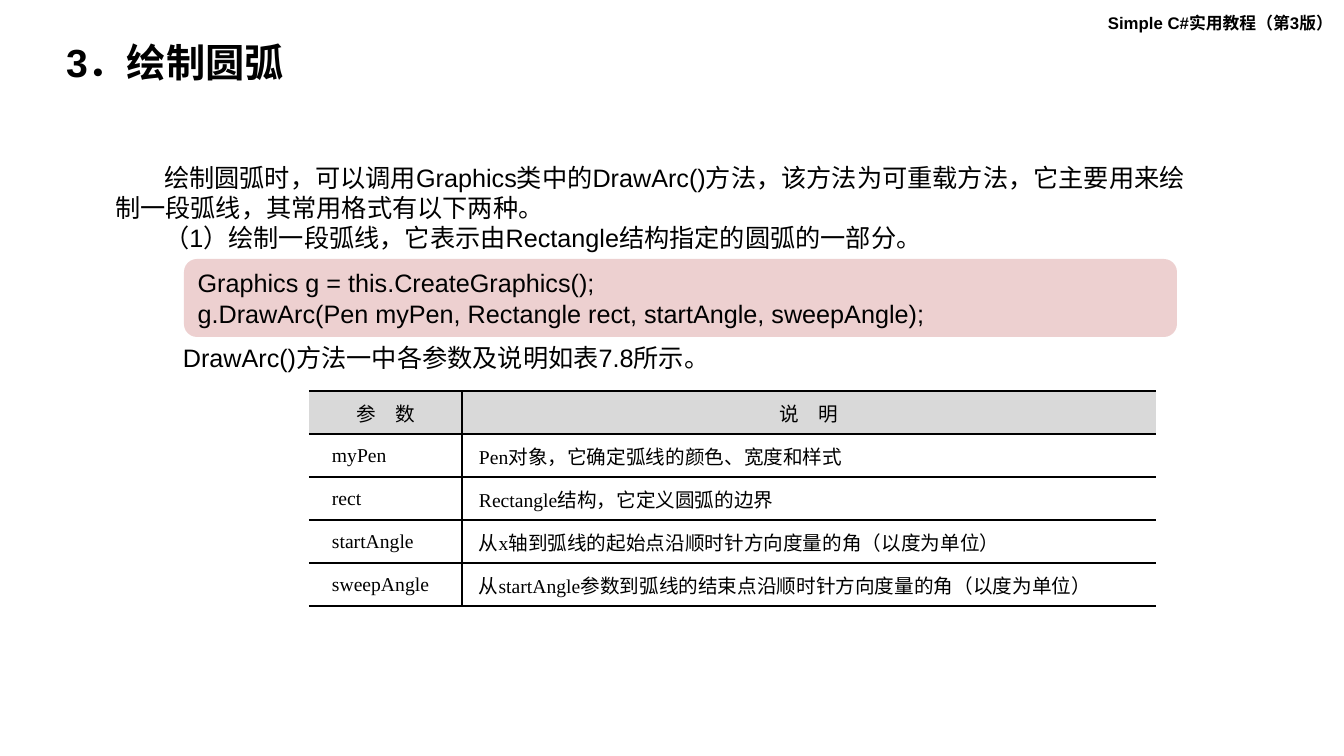
from pptx import Presentation
from pptx.dml.color import RGBColor
from pptx.enum.shapes import MSO_SHAPE
from pptx.enum.text import MSO_ANCHOR as Anchor, MSO_AUTO_SIZE as AutoSize, PP_ALIGN as Align
from pptx.oxml.ns import qn
from pptx.util import Emu, Pt
from lxml.etree import SubElement

BLACK = "000000"
HEADER_FILL = "D9D9D9"
CODE_FILL = "EDD0D0"
ROW_HEIGHT = 43
COLUMN_WIDTHS = (153, 694)
FIRST_INDENTS = (16, 10)
PARAMETERS = (
    ("参　数", "说　明"),
    ("myPen", "Pen对象，它确定弧线的颜色、宽度和样式"),
    ("rect", "Rectangle结构，它定义圆弧的边界"),
    ("startAngle", "从x轴到弧线的起始点沿顺时针方向度量的角（以度为单位）"),
    ("sweepAngle", "从startAngle参数到弧线的结束点沿顺时针方向度量的角（以度为单位）"),
)


def px(length):
    """Turn pixels into EMU."""
    return Emu(round(length * 914400 / 100.8))


def color(code):
    """Turn a hex string into a colour."""
    return RGBColor.from_string(code)


def place(shape, left, top, width, height):
    """Move and size a shape in pixels."""
    shape.left, shape.top = px(left), px(top)
    shape.width, shape.height = px(width), px(height)


def write(frame, text, size, name="Arial", bold=False, align=Align.LEFT, indent=0, spacing=1.0):
    """Fill a text frame with evenly formatted paragraphs."""
    frame.text = text
    for para in frame.paragraphs:
        properties = para._p.get_or_add_pPr()
        properties.set("marL", "0")
        properties.set("indent", str(px(indent)))
        SubElement(properties, qn("a:buNone"))
        para.alignment = align
        para.line_spacing = spacing
        para.space_before = Pt(0)
        for span in para.runs:
            span.font.size = Pt(size)
            span.font.name = name
            span.font.bold = bold
            span.font.color.rgb = color(BLACK)


def fill_placeholder(shape, bounds, text, size, anchor, **style):
    """Place and write a title or body placeholder."""
    place(shape, *bounds)
    frame = shape.text_frame
    write(frame, text, size, **style)
    frame.auto_size = AutoSize.NONE
    frame.vertical_anchor = anchor


def add_label(page, bounds, text, size, wrap=True, bold=False):
    """Add a text box."""
    box = page.shapes.add_textbox(*map(px, bounds))
    box.text_frame.word_wrap = wrap
    write(box.text_frame, text, size, bold=bold)


def add_code_panel(page, bounds, text):
    """Add a rounded panel holding code."""
    panel = page.shapes.add_shape(MSO_SHAPE.ROUNDED_RECTANGLE, *map(px, bounds))
    panel.shadow.inherit = False
    panel.fill.solid()
    panel.fill.fore_color.rgb = color(CODE_FILL)
    panel.line.fill.background()
    panel.text_frame.word_wrap = True
    panel.text_frame.vertical_anchor = Anchor.MIDDLE
    write(panel.text_frame, text, 18)


def add_border(cell, side, visible):
    """Draw or hide one side of a cell."""
    line = SubElement(cell._tc.get_or_add_tcPr(), qn(f"a:ln{side}"), w=str(Pt(1)))
    if visible:
        SubElement(SubElement(line, qn("a:solidFill")), qn("a:srgbClr"), val=BLACK)
    else:
        SubElement(line, qn("a:noFill"))


def format_cell(cell, text, is_header, column):
    """Write, border and fill one table cell."""
    cell.vertical_anchor = Anchor.MIDDLE
    cell.margin_left = cell.margin_right = px(7)
    cell.margin_top = cell.margin_bottom = 0
    write(cell.text_frame, text, 14, name="Times New Roman",
          align=Align.CENTER if is_header else Align.JUSTIFY,
          indent=0 if is_header else FIRST_INDENTS[column])
    for side, visible in (("L", column == 1), ("R", column == 0), ("T", True), ("B", True)):
        add_border(cell, side, visible)
    if is_header:
        cell.fill.solid()
        cell.fill.fore_color.rgb = color(HEADER_FILL)
    else:
        cell.fill.background()


def add_parameter_table(page, left, top):
    """Add the table of method parameters."""
    count = len(PARAMETERS)
    table = page.shapes.add_table(count, len(COLUMN_WIDTHS), px(left), px(top),
                                  px(sum(COLUMN_WIDTHS)), px(count * ROW_HEIGHT)).table
    table.first_row = table.horz_banding = False
    for column, width in zip(table.columns, COLUMN_WIDTHS):
        column.width = px(width)
    for row_index, texts in enumerate(PARAMETERS):
        table.rows[row_index].height = px(ROW_HEIGHT)
        for column_index, text in enumerate(texts):
            format_cell(table.cell(row_index, column_index), text, row_index == 0, column_index)


def main():
    """Build and save the slide."""
    deck = Presentation()
    deck.slide_width, deck.slide_height = px(1344), px(756)
    page = deck.slides.add_slide(deck.slide_layouts[1])
    add_label(page, (1098, 8, 246, 30), "Simple C#实用教程（第3版）", 12, bold=True)
    fill_placeholder(page.shapes.title, (56, 39, 609, 52), "3．绘制圆弧", 28,
                     Anchor.MIDDLE, bold=True, spacing=0.9)
    fill_placeholder(
        page.placeholders[1], (105, 157, 1112, 102),
        "绘制圆弧时，可以调用Graphics类中的DrawArc()方法，该方法为可重载方法，"
        "它主要用来绘制一段弧线，其常用格式有以下两种。\n"
        "（1）绘制一段弧线，它表示由Rectangle结构指定的圆弧的一部分。",
        18, Anchor.TOP, indent=49)
    add_code_panel(page, (184, 259, 993, 78),
                   "Graphics g = this.CreateGraphics();\n"
                   "g.DrawArc(Pen myPen, Rectangle rect, startAngle, sweepAngle);")
    add_label(page, (173, 337, 552, 40), "DrawArc()方法一中各参数及说明如表7.8所示。", 18, wrap=False)
    add_parameter_table(page, 309, 391)
    deck.save("out.pptx")


if __name__ == "__main__":
    main()
